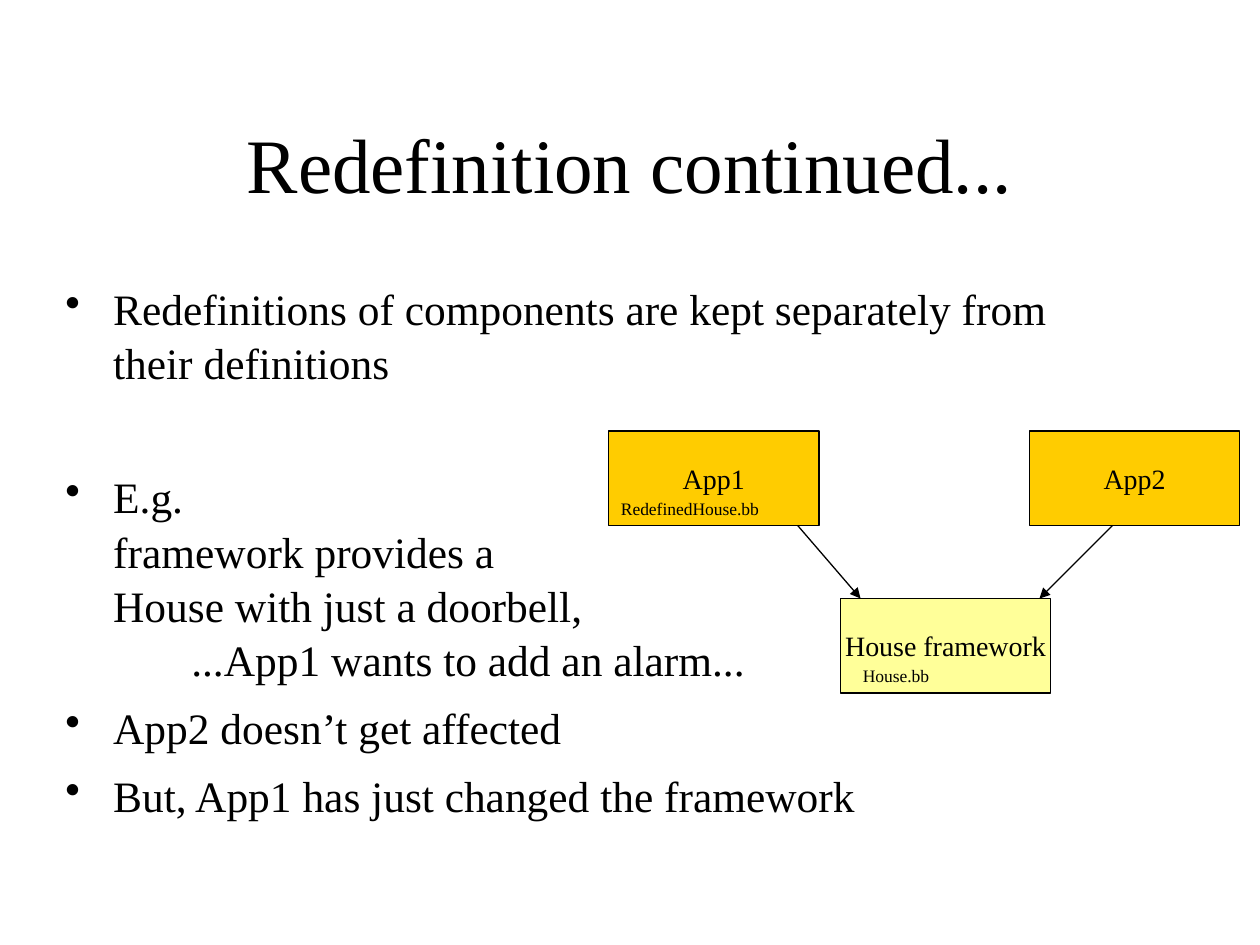
from dataclasses import dataclass

from lxml import etree
from pptx import Presentation
from pptx.dml.color import RGBColor
from pptx.enum.shapes import MSO_CONNECTOR, MSO_SHAPE
from pptx.enum.text import MSO_ANCHOR, PP_ALIGN
from pptx.oxml.ns import qn
from pptx.util import Inches, Pt

RECT = MSO_SHAPE.RECTANGLE
STRAIGHT = MSO_CONNECTOR.STRAIGHT
MIDDLE = MSO_ANCHOR.MIDDLE
TOP = MSO_ANCHOR.TOP
CENTER = PP_ALIGN.CENTER
LEFT = PP_ALIGN.LEFT


@dataclass(frozen=True)
class Theme:
    face: str = "Times New Roman"
    ink: RGBColor = RGBColor(0, 0, 0)
    app: RGBColor = RGBColor(0xFF, 0xCC, 0)
    frame: RGBColor = RGBColor(0xFF, 0xFF, 0x99)
    title: float = 44
    body: float = 24.8
    label: float = 16
    note: float = 10
    line: float = 0.75


THEME = Theme()
BOX_W, BOX_H = 1.67, 0.75
APP_Y, FRAME_Y = 3.42, 4.75
BULLETS = [
    ("Redefinitions of components are kept separately from their definitions", 0),
    ("E.g.\vframework provides a\vHouse with just a doorbell,\v"
     "\t...App1 wants to add an alarm...", 46),
    ("App2 doesn’t get affected", 8),
    ("But, App1 has just changed the framework", 8),
]
BOXES = [
    ("House framework", 6.67, FRAME_Y, THEME.frame),
    ("App1", 4.83, APP_Y, THEME.app),
    ("App2", 8.17, APP_Y, THEME.app),
]
ARROWS = [(6.33, 6.83), (8.83, 8.25)]
NOTES = [("RedefinedHouse.bb", 4.83, 3.9), ("House.bb", 6.75, 5.23)]


def place(shape, x, y, w, h):
    spots = {"left": x, "top": y, "width": w, "height": h}
    for name, value in spots.items():
        setattr(shape, name, Inches(value))


def style(para, size, align):
    para.alignment = align
    for run in para.runs:
        for name, value in {"name": THEME.face, "size": Pt(size)}.items():
            setattr(run.font, name, value)
        run.font.color.rgb = THEME.ink


def fill_text(shape, text, size, align=LEFT, anchor=TOP, wrap=True):
    frame = shape.text_frame
    frame.word_wrap = wrap
    frame.vertical_anchor = anchor
    para = frame.paragraphs[0]
    para.text = text
    style(para, size, align)


def add_title(slide, text):
    title = slide.shapes.title
    place(title, 0.75, 0.67, 8.5, 1.25)
    fill_text(title, text, THEME.title, CENTER, MIDDLE)


def add_mark(para):
    """Give the paragraph a hanging bullet and a tab stop at one inch."""
    props = para._p.get_or_add_pPr()
    indent = Inches(0.38)
    props.set("marL", str(indent))
    props.set("indent", str(-indent))
    etree.SubElement(props, qn("a:buChar"), char="•")
    tabs = etree.SubElement(props, qn("a:tabLst"))
    etree.SubElement(tabs, qn("a:tab"), pos=str(Inches(1)), algn="l")


def add_list(slide, items):
    box = slide.shapes.add_textbox(
        Inches(0.42), Inches(2.17), Inches(8.5), Inches(4.5))
    frame = box.text_frame
    frame.word_wrap = True
    for i, (text, gap) in enumerate(items):
        para = frame.add_paragraph() if i else frame.paragraphs[0]
        add_mark(para)
        para.text = text
        para.line_spacing = 1.04
        para.space_before = Pt(gap)
        style(para, THEME.body, LEFT)


def add_box(slide, text, x, y, fill):
    box = slide.shapes.add_shape(
        RECT, Inches(x), Inches(y), Inches(BOX_W), Inches(BOX_H))
    box.shadow.inherit = False
    box.fill.solid()
    box.fill.fore_color.rgb = fill
    box.line.color.rgb = THEME.ink
    box.line.width = Pt(THEME.line)
    fill_text(box, text, THEME.label, CENTER, MIDDLE, wrap=False)


def add_arrow(slide, start, end):
    arrow = slide.shapes.add_connector(
        STRAIGHT, Inches(start), Inches(APP_Y + BOX_H),
        Inches(end), Inches(FRAME_Y))
    arrow.line.color.rgb = THEME.ink
    arrow.line.width = Pt(THEME.line)
    etree.SubElement(arrow.line._get_or_add_ln(), qn("a:tailEnd"),
                     type="triangle")
    etree.SubElement(arrow._element.spPr, qn("a:effectLst"))


def add_note(slide, text, x, y):
    note = slide.shapes.add_textbox(
        Inches(x), Inches(y), Inches(1.33), Inches(0.27))
    fill_text(note, text, THEME.note)


def main():
    deck = Presentation()
    deck.slide_width, deck.slide_height = Inches(10), Inches(7.5)
    slide = deck.slides.add_slide(deck.slide_layouts.get_by_name("Title Only"))
    add_title(slide, "Redefinition continued...")
    add_list(slide, BULLETS)
    for box in BOXES:
        add_box(slide, *box)
    for arrow in ARROWS:
        add_arrow(slide, *arrow)
    for note in NOTES:
        add_note(slide, *note)
    deck.save("out.pptx")


if __name__ == "__main__":
    main()
